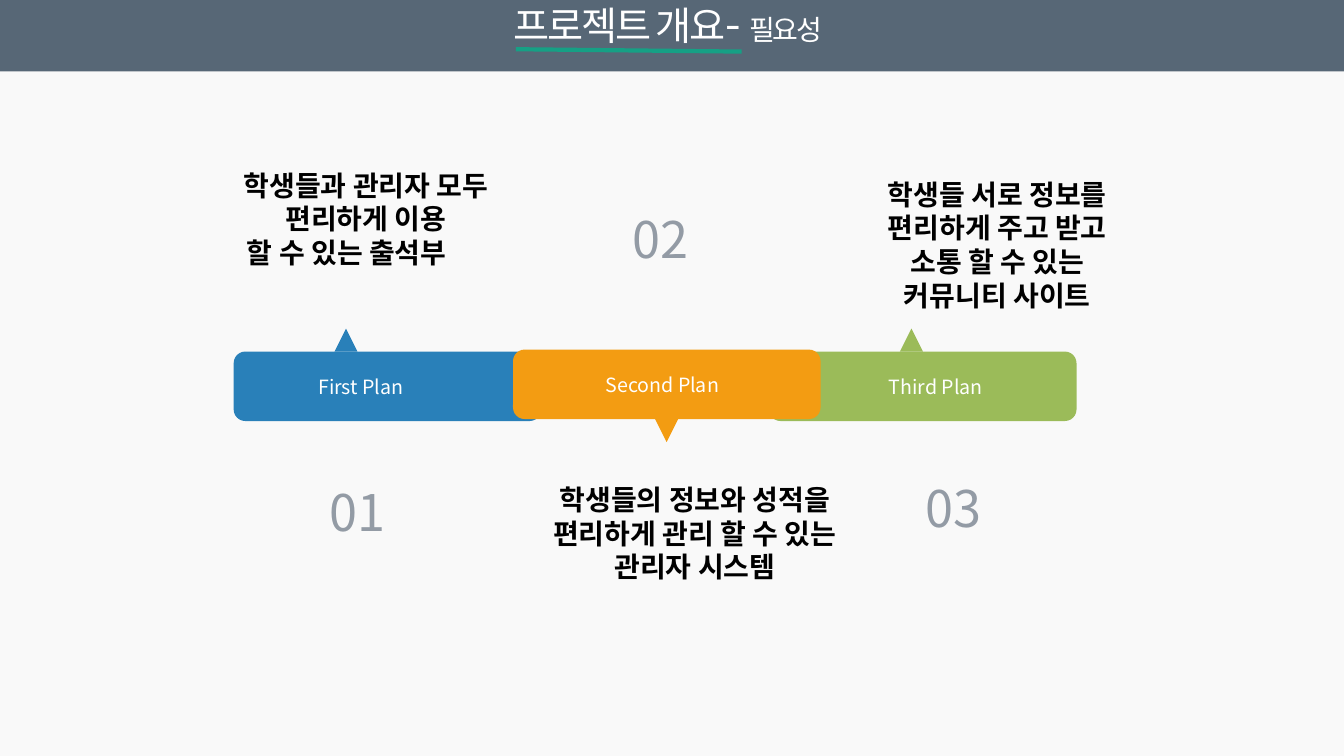
from pptx import Presentation
from pptx.dml import color
from pptx.enum import shapes, text
from pptx.oxml import ns
from pptx.util import Cm, Pt
from lxml import etree

FONT = "Noto Sans CJK KR"
COLORS = {
    "page": "F9F9F9", "header": "445566", "underline": "16A085",
    "first": "2980B9", "second": "F39C12", "third": "9BBB59",
    "number": "939BA5", "label": "FFFFFF", "body": "000000",
}
STYLES = {
    "title": {"size": Pt(28), "bold": False},
    "dash": {"size": Pt(32), "bold": False},
    "subtitle": {"size": Pt(20), "bold": False},
    "number": {"size": Pt(36), "bold": False},
    "label": {"size": Pt(14), "bold": False},
    "body": {"size": Pt(20), "bold": True},
}
BAR_W, BAR_H, POINTER = 7.75, 1.75, 0.58

# Offsets are measured from the top left corner of each bar, in cm;
# body lines hold the text and its left indent. Listed from back to front.
PLANS = [
    {"color": "first", "bar": (5.89, 8.86), "points_up": True, "pointer_x": 2.54,
     "label": ("First Plan", 1.88), "number": ("01", -0.12, 3.15),
     "body": (-1.67, -4.75, 9.04, 2.82),
     "lines": [("학생들과 관리자 모두 편리하게 이용", 0.97), ("할 수 있는 출석부", 0)]},
    {"color": "third", "bar": (19.38, 8.86), "points_up": True, "pointer_x": 3.3,
     "label": ("Third Plan", 2.77), "number": ("03", 1.4, 3.05),
     "body": (1.12, -4.52, 9.27, 3.68),
     "lines": [("학생들 서로 정보를", 0), ("편리하게 주고 받고", 0),
               ("소통 할 수 있는", 0), ("커뮤니티 사이트", 0)]},
    {"color": "second", "bar": (12.93, 8.81), "points_up": False, "pointer_x": 3.58,
     "label": ("Second Plan", 2.08), "number": ("02", 0.48, -3.7),
     "body": (0.28, 3.23, 8.61, 2.82),
     "lines": [("학생들의 정보와 성적을", 0),
               ("편리하게 관리 할 수 있는 관리자 시스템", 0)]},
]


def rgb(name):
    return color.RGBColor.from_string(COLORS[name])


def add_block(slide, kind, box, fill):
    block = slide.shapes.add_shape(kind, *map(Cm, box))
    block.shadow.inherit = False
    block.fill.solid()
    block.fill.fore_color.rgb = rgb(fill)
    block.line.fill.background()
    return block


def add_frame(slide, box):
    frame = slide.shapes.add_textbox(*map(Cm, box)).text_frame
    frame.word_wrap = True
    frame.auto_size = text.MSO_AUTO_SIZE.SHAPE_TO_FIT_TEXT
    return frame


def add_run(paragraph, words, style, ink, spacing=None):
    run = paragraph.add_run()
    run.text = words
    for key, value in {"name": FONT, **STYLES[style]}.items():
        setattr(run.font, key, value)
    run.font.color.rgb = rgb(ink)
    properties = run._r.get_or_add_rPr()
    etree.SubElement(properties, ns.qn("a:ea")).set("typeface", FONT)
    if spacing is not None:
        properties.set("spc", str(spacing))


def add_lines(slide, box, lines, style, align=text.PP_ALIGN.CENTER):
    frame = add_frame(slide, box)
    for i, (words, indent) in enumerate(lines):
        paragraph = frame.add_paragraph() if i else frame.paragraphs[0]
        paragraph.alignment = align
        if indent:
            paragraph._p.get_or_add_pPr().set("marL", str(Cm(indent)))
        add_run(paragraph, words, style, style)


def add_header(slide, left, top, width, height):
    # Translucent band
    band = add_block(slide, shapes.MSO_SHAPE.RECTANGLE, (left, top, width, height), "header")
    band_color = band.fill._xPr.find(".//" + ns.qn("a:srgbClr"))
    etree.SubElement(band_color, ns.qn("a:alpha")).set("val", "89000")

    # Title with its smaller topic
    title = add_frame(slide, (left + 9.47, top - 0.23, 14.73, 1.63)).paragraphs[0]
    title.alignment = text.PP_ALIGN.CENTER
    for words, style in (("프로젝트 개요", "title"), ("- ", "dash"), ("필요성", "subtitle")):
        add_run(title, words, style, "label", spacing=-150)

    # Underline
    underline = slide.shapes.add_connector(
        shapes.MSO_CONNECTOR.STRAIGHT,
        Cm(left + 13), Cm(top + 1.24), Cm(left + 18.69), Cm(top + 1.3))
    underline.line.color.rgb = rgb("underline")
    underline.line.width = Pt(3)
    etree.SubElement(underline._element.spPr, ns.qn("a:effectLst"))


def add_plan(slide, plan):
    left, top = plan["bar"]

    # Bar and its pointer
    add_block(slide, shapes.MSO_SHAPE.ROUNDED_RECTANGLE,
              (left, top, BAR_W, BAR_H), plan["color"])
    pointer_top = top - POINTER if plan["points_up"] else top + BAR_H
    pointer = add_block(slide, shapes.MSO_SHAPE.ISOSCELES_TRIANGLE,
                        (left + plan["pointer_x"], pointer_top, POINTER, POINTER),
                        plan["color"])
    pointer.rotation = 0 if plan["points_up"] else 180

    # Label, number and description
    label, label_x = plan["label"]
    add_lines(slide, (left + label_x, top + 0.46, 6, 0.86), [(label, 0)],
              "label", text.PP_ALIGN.LEFT)
    number, number_x, number_y = plan["number"]
    add_lines(slide, (left + number_x, top + number_y, 6.48, 1.8), [(number, 0)], "number")
    body_x, body_y, body_w, body_h = plan["body"]
    add_lines(slide, (left + body_x, top + body_y, body_w, body_h), plan["lines"], "body")


def main():
    deck = Presentation()
    deck.slide_width, deck.slide_height = Cm(33.87), Cm(19.05)
    slide = deck.slides.add_slide(deck.slide_layouts[6])
    slide.background.fill.solid()
    slide.background.fill.fore_color.rgb = rgb("page")
    for plan in PLANS:
        add_plan(slide, plan)
    add_header(slide, 0, 0, 33.87, 1.8)
    deck.save("out.pptx")


if __name__ == "__main__":
    main()
